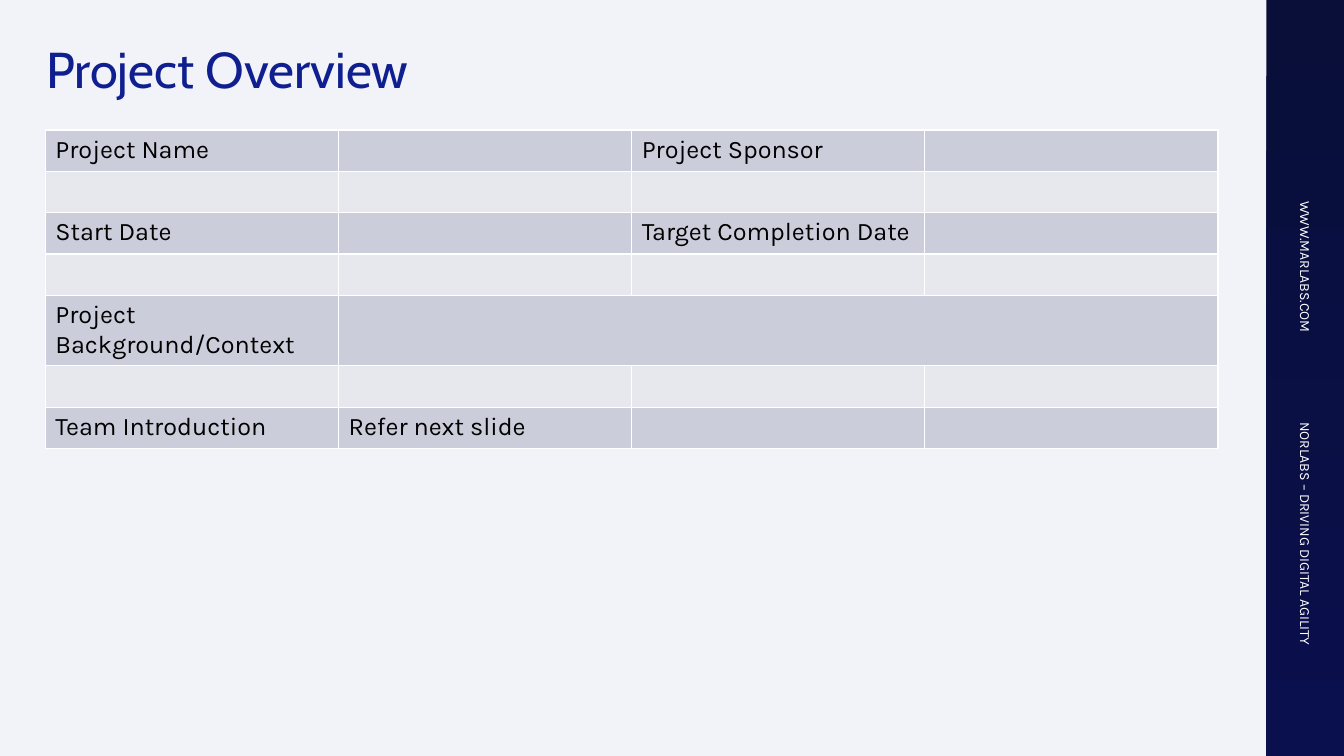
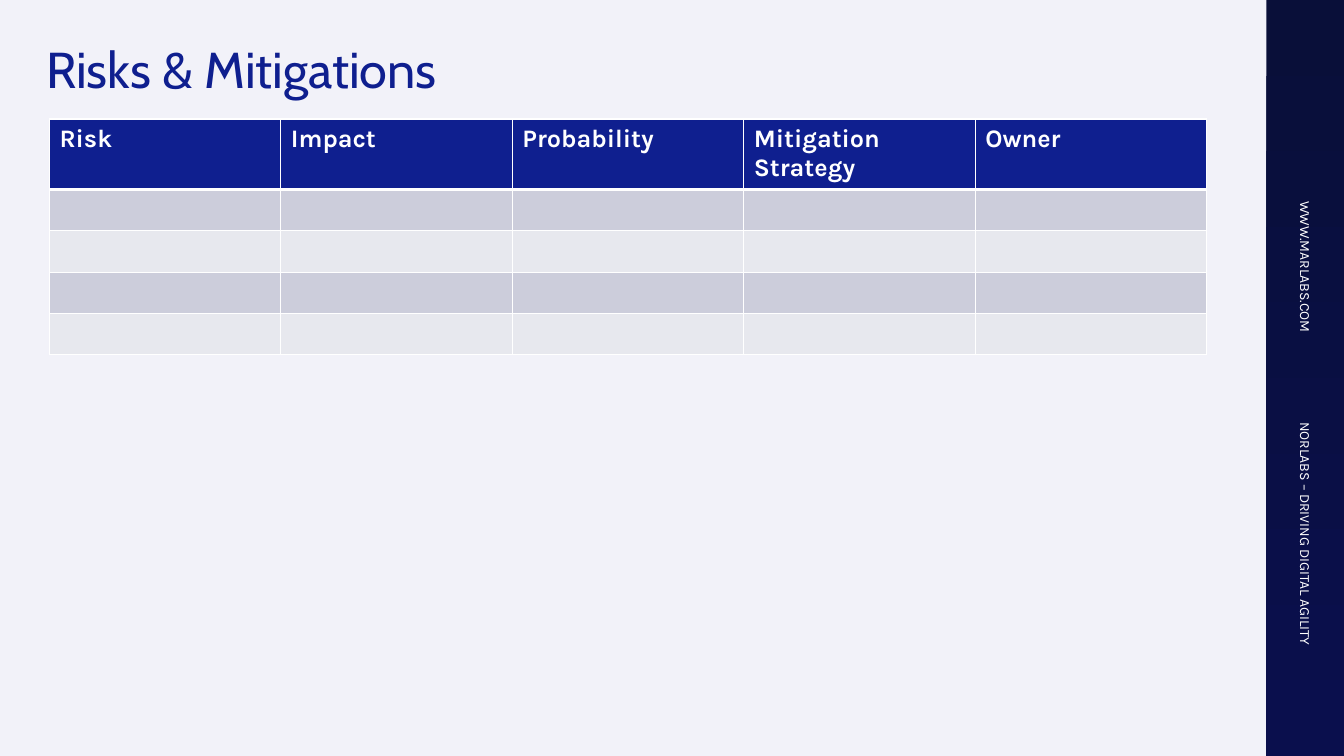
from pptx import Presentation
from pptx.dml.color import RGBColor
from pptx.enum.shapes import MSO_SHAPE
from pptx.enum.text import MSO_ANCHOR, PP_ALIGN
from pptx.oxml import parse_xml
from pptx.oxml.ns import nsdecls
from pptx.util import Inches, Pt

RECT = MSO_SHAPE.RECTANGLE
TOP, MIDDLE = MSO_ANCHOR.TOP, MSO_ANCHOR.MIDDLE
LEFT, RIGHT = PP_ALIGN.LEFT, PP_ALIGN.RIGHT

PAPER, WHITE, BLACK, BLUE = "F2F2F9", "FFFFFF", "000000", "0F1F8F"
BANDS = "CCCDDB", "E7E8EE"
SHADES = "090F39", "0A0F4D"
ROW, TALL = 0.41, 0.68

STYLES = {
    "title": {"name": "Cabin", "size": Pt(36), "color": BLUE},
    "side": {"name": "Karla", "size": Pt(10), "color": WHITE},
    "cell": {"name": "Karla", "size": Pt(18), "color": BLACK, "bold": False},
    "head": {"name": "Karla", "size": Pt(18), "color": WHITE, "bold": True},
}


def color(code):
    return RGBColor.from_string(code)


def write(frame, text, style, align=LEFT):
    para = frame.paragraphs[0]
    para.alignment = align
    run = para.add_run()
    run.text = text
    for key, value in STYLES[style].items():
        if key == "color":
            run.font.color.rgb = color(value)
        else:
            setattr(run.font, key, value)


def label(slide, box, text, style, anchor=TOP, align=LEFT, turn=0):
    shape = slide.shapes.add_textbox(*map(Inches, box))
    shape.rotation = turn
    frame = shape.text_frame
    frame.word_wrap = True
    frame.vertical_anchor = anchor
    write(frame, text, style, align)


def band(slide, box):
    """Draw the side band with its two upright lines of text."""
    left, top, width, height = box
    bar = slide.shapes.add_shape(RECT, *map(Inches, box))
    bar.shadow.inherit = False
    bar.line.fill.background()
    bar.fill.gradient()
    bar.fill.gradient_angle = 270
    for stop, shade in zip(bar.fill.gradient_stops, SHADES):
        stop.color.rgb = color(shade)
    long, thick = 3, 0.4
    x = left + (width - long) / 2
    for text, y, align in (
        ("WWW.MARLABS.COM", 1.7, RIGHT),
        ("NORLABS – DRIVING DIGITAL AGILITY", 5.39, LEFT),
    ):
        label(slide, (x, top + y, long, thick), text, "side", MIDDLE, align, 90)


def edge(cell, **widths):
    """Draw white cell borders; widths are points by side."""
    props = cell._tc.get_or_add_tcPr()
    for spot, side in enumerate("LRTB"):
        props.insert(spot, parse_xml(
            f'<a:ln{side} {nsdecls("a")} w="{Pt(widths.get(side, 1))}">'
            f'<a:solidFill><a:srgbClr val="{WHITE}"/></a:solidFill></a:ln{side}>'))


def grid(slide, box, rows, tall, head=False):
    """Draw a banded table of equal columns; tall is the index of the two-line row."""
    left, top, width = box
    count = len(rows[0])
    heights = [TALL if i == tall else ROW for i in range(len(rows))]
    table = slide.shapes.add_table(
        len(rows), count, *map(Inches, (left, top, width, sum(heights)))).table
    table.first_row = head
    table.horz_banding = False
    for col in table.columns:
        col.width = Inches(width / count)
    for i, row in enumerate(rows):
        table.rows[i].height = Inches(heights[i])
        titled = head and i == 0
        fill = BLUE if titled else BANDS[(i - head) % 2]
        for j, text in enumerate(row):
            cell = table.cell(i, j)
            cell.fill.solid()
            cell.fill.fore_color.rgb = color(fill)
            edge(cell, B=3 if titled else 1, T=3 if head and i == 1 else 1)
            if text:
                write(cell.text_frame, text, "head" if titled else "cell")
    return table


def page(deck, title):
    """Add a slide with the shared background, band and title."""
    slide = deck.slides.add_slide(deck.slide_layouts[6])
    slide.background.fill.solid()
    slide.background.fill.fore_color.rgb = color(PAPER)
    band(slide, (12.56, 0, 0.78, 7.5))
    label(slide, (0.36, 0.33, 11.99, 0.71), title, "title")
    return slide


def outline(deck):
    slide = page(deck, "Project Overview")
    gap = [""] * 4
    rows = [
        ["Project Name", "", "Project Sponsor", ""],
        gap,
        ["Start Date", "", "Target Completion Date", ""],
        gap,
        ["Project Background/Context", "", "", ""],
        gap,
        ["Team Introduction", "Refer next slide", "", ""],
    ]
    table = grid(slide, (0.45, 1.29, 11.63), rows, tall=4)
    table.cell(4, 1).merge(table.cell(4, 3))


def risks(deck):
    slide = page(deck, "Risks & Mitigations")
    heads = ["Risk", "Impact", "Probability", "Mitigation Strategy", "Owner"]
    rows = [heads] + [[""] * len(heads)] * 4
    grid(slide, (0.49, 1.18, 11.48), rows, tall=0, head=True)


def main():
    deck = Presentation()
    deck.slide_width, deck.slide_height = Inches(13.33), Inches(7.5)
    outline(deck)
    risks(deck)
    deck.save("out.pptx")


if __name__ == "__main__":
    main()
